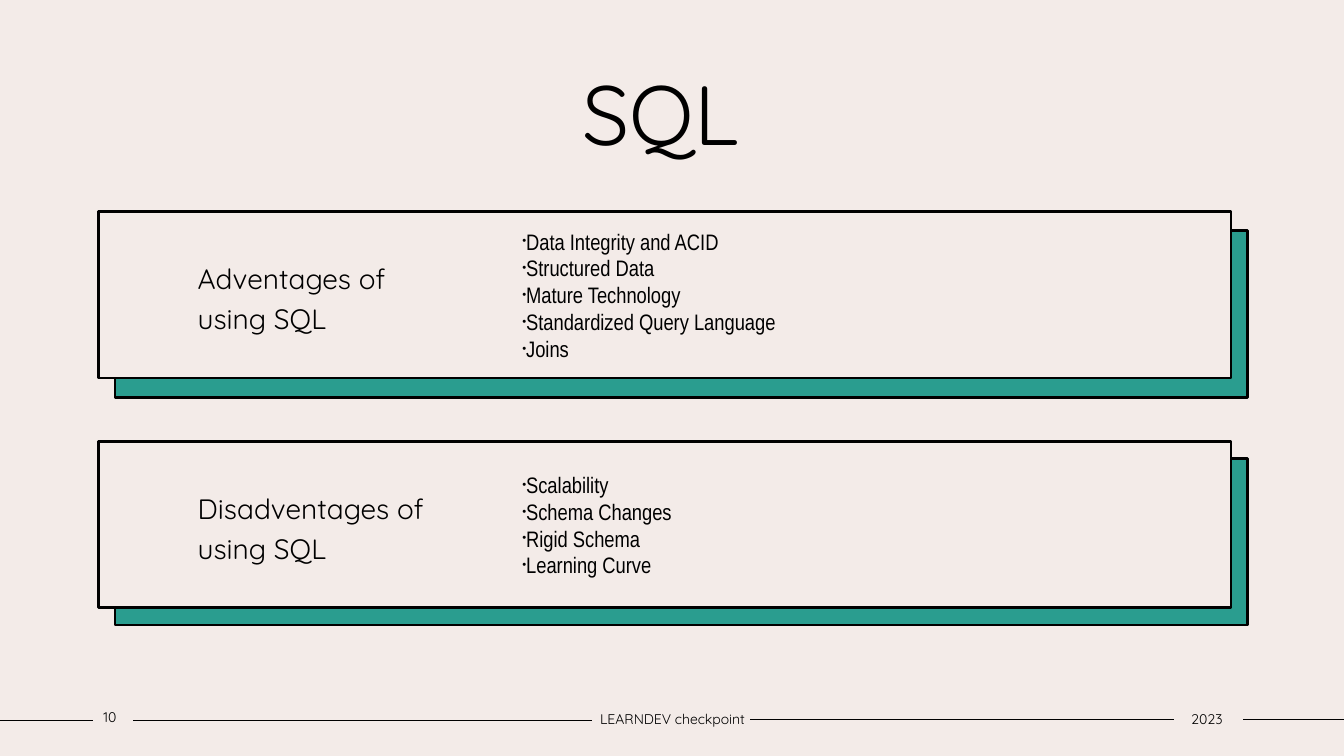
"""Build the SQL slide with its advantages and disadvantages cards."""
import pptx
import pptx.dml.color
import pptx.enum.shapes
import pptx.enum.text
import pptx.oxml
import pptx.oxml.ns
import pptx.util

Inches = pptx.util.Inches
Pt = pptx.util.Pt
RGBColor = pptx.dml.color.RGBColor
PP_ALIGN = pptx.enum.text.PP_ALIGN

THEME = {
    "paper": RGBColor.from_string("F3EBE8"),
    "ink": RGBColor.from_string("000000"),
    "accent": RGBColor.from_string("2A9D8F"),
    "title": {"name": "Quicksand", "size": Pt(60), "bold": False},
    "heading": {"name": "Quicksand", "size": Pt(20), "bold": False},
    "list": {"name": "Arial Narrow", "size": Pt(16), "bold": False},
    "footer": {"name": "Quicksand", "size": Pt(10), "bold": False},
}


def write_text(shape, text, style, alignment, line_spacing=1.0, margins=(0.1, 0.05, 0.1, 0.05)):
    """Fill a shape with text in one of the theme's styles."""
    frame = shape.text_frame
    frame.text = text
    sides = ("margin_left", "margin_top", "margin_right", "margin_bottom")
    frame_format = {
        "word_wrap": True,
        "auto_size": pptx.enum.text.MSO_AUTO_SIZE.NONE,
        "vertical_anchor": pptx.enum.text.MSO_ANCHOR.MIDDLE,
        **{side: Inches(margin) for side, margin in zip(sides, margins)},
    }
    for name, value in frame_format.items():
        setattr(frame, name, value)
    paragraph_format = {
        "alignment": alignment,
        "line_spacing": line_spacing,
        "space_before": Pt(0),
        "space_after": Pt(0),
    }
    for paragraph in frame.paragraphs:
        for name, value in paragraph_format.items():
            setattr(paragraph, name, value)
        for run in paragraph.runs:
            for name, value in THEME[style].items():
                setattr(run.font, name, value)
            run.font.color.rgb = THEME["ink"]


def place(shape, left, top, width, height, fill=None):
    """Bring a shape to the front, position it and give it an optional outlined fill."""
    shape.element.getparent().append(shape.element)
    box = {"left": left, "top": top, "width": width, "height": height}
    for name, value in box.items():
        setattr(shape, name, Inches(value))
    if fill:
        shape.fill.solid()
        shape.fill.fore_color.rgb = THEME[fill]
        shape.line.color.rgb = THEME["ink"]
        shape.line.width = Pt(2)


presentation = pptx.Presentation()
presentation.slide_width = Inches(13.33)
presentation.slide_height = Inches(7.5)
slide = presentation.slides.add_slide(presentation.slide_layouts.get_by_name("Comparison"))
slide.background.fill.solid()
slide.background.fill.fore_color.rgb = THEME["paper"]

for start, end, height in [(0, 0.92, 7.15), (1.32, 5.87, 7.15), (7.44, 11.64, 7.14), (12.33, 13.33, 7.14)]:
    rule = slide.shapes.add_connector(
        pptx.enum.shapes.MSO_CONNECTOR.STRAIGHT,
        Inches(start), Inches(height), Inches(end), Inches(height))
    rule.line.color.rgb = THEME["ink"]
    rule.line.width = Pt(1)
    rule.element.spPr.append(pptx.oxml.parse_xml(f'<a:effectLst {pptx.oxml.ns.nsdecls("a")}/>'))

title = slide.shapes.title
place(title, 1.25, 0.56, 10.84, 1.11)
write_text(title, "SQL ", "title", PP_ALIGN.CENTER)

CARD_LEFT, CARD_WIDTH, CARD_HEIGHT = 0.98, 11.23, 1.65
cards = [
    (2.1, 2.29, 1, 2, "Adventages of \vusing SQL",
     ["Data Integrity and ACID", "Structured Data", "Mature Technology",
      "Standardized Query Language", "Joins"]),
    (4.38, 4.55, 3, 4, "Disadventages of\nusing SQL",
     ["Scalability", "Schema Changes", "Rigid Schema", "Learning Curve"]),
]
for top, backing_top, heading_index, list_index, heading_text, points in cards:
    backing = slide.shapes.add_shape(pptx.enum.shapes.MSO_SHAPE.RECTANGLE, 0, 0, 0, 0)
    backing.shadow.inherit = False
    place(backing, 1.14, backing_top, CARD_WIDTH, CARD_HEIGHT, "accent")

    heading = slide.placeholders[heading_index]
    place(heading, CARD_LEFT, top, CARD_WIDTH, CARD_HEIGHT, "paper")
    write_text(heading, heading_text, "heading", PP_ALIGN.LEFT, 1.2, (0.98, 0.05, 7.1, 0.05))

    point_list = slide.placeholders[list_index]
    place(point_list, 5.08, top + 0.1, 7.01, CARD_HEIGHT - 0.2)
    write_text(point_list, "\n".join(points), "list", PP_ALIGN.LEFT)
    for paragraph in point_list.text_frame.paragraphs:
        properties = paragraph._p.get_or_add_pPr()
        properties.set("marL", "0")
        properties.set("indent", str(-Inches(0.15)))
        for tag, attribute, value in [("buSzPct", "val", "50000"), ("buFont", "typeface", "Arial"),
                                      ("buChar", "char", "•")]:
            properties.append(pptx.oxml.parse_xml(
                f'<a:{tag} {pptx.oxml.ns.nsdecls("a")} {attribute}="{value}"/>'))

footers = [
    ("10", 0.92, 6.95, 0.34, 0.32),
    ("LEARNDEV checkpoint", 5.87, 7, 1.6, 0.27),
    ("2023", 11.62, 7, 0.7, 0.27),
]
for text, *box in footers:
    footer = slide.shapes.add_textbox(*map(Inches, box))
    write_text(footer, text, "footer", PP_ALIGN.CENTER, margins=(0, 0.05, 0, 0.05))

presentation.save("out.pptx")
